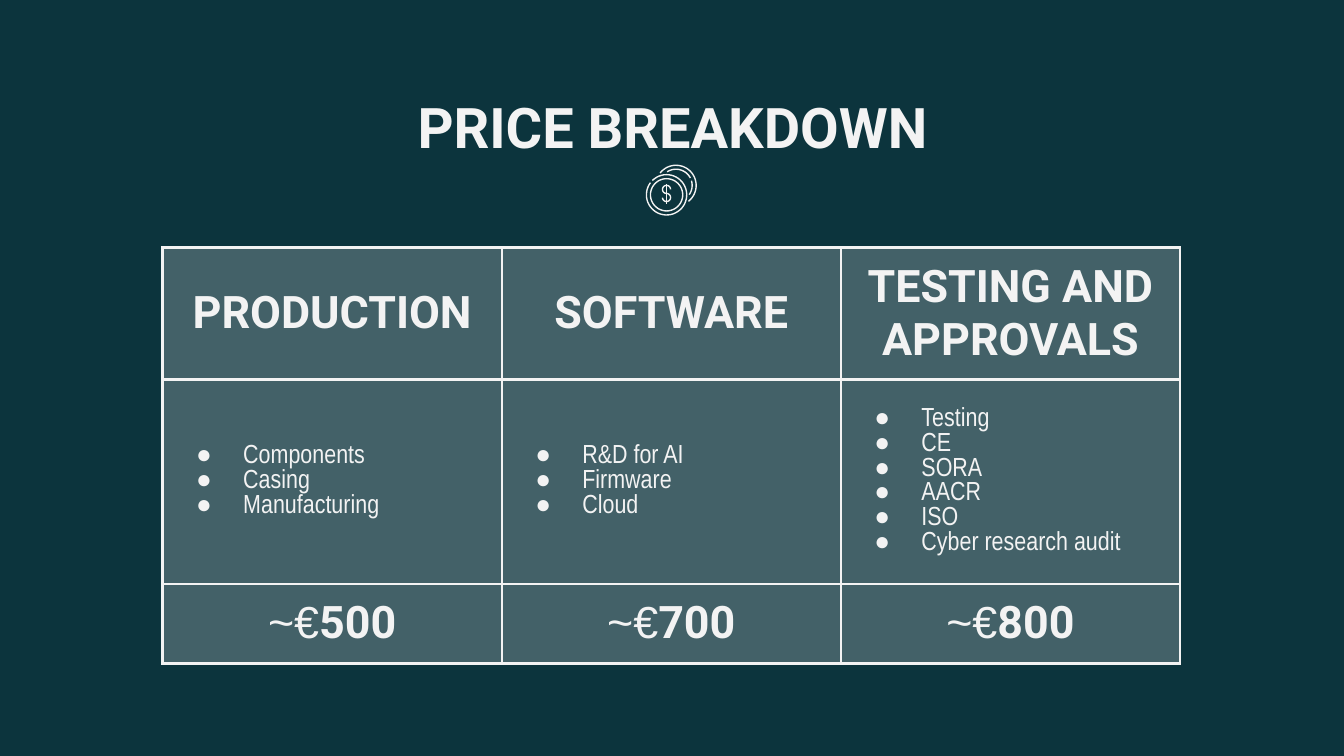
import math

import pptx
import pptx.dml.color
import pptx.enum.text
import pptx.oxml
import pptx.oxml.ns
import pptx.util
from pptx.util import Inches

WHITE = pptx.dml.color.RGBColor(0xF3, 0xF3, 0xF3)
TEAL = pptx.dml.color.RGBColor(0x0C, 0x34, 0x3D)
NS = pptx.oxml.ns.nsdecls("a")
CENTER = pptx.enum.text.PP_ALIGN.CENTER
MIDDLE = pptx.enum.text.MSO_ANCHOR.MIDDLE


def add_run(p, text, size, font, bold):
    r = p.add_run()
    r.text = text
    r.font.size = pptx.util.Pt(size)
    r.font.name = font
    r.font.bold = bold
    r.font.color.rgb = WHITE


prs = pptx.Presentation()
prs.slide_width = Inches(10)
prs.slide_height = Inches(10) * 9 // 16  # widescreen
s = prs.slides.add_slide(prs.slide_layouts[5])
s.background.fill.solid()
s.background.fill.fore_color.rgb = TEAL

# Title
title = s.shapes.title
title.left, title.top = Inches(0.79), Inches(0.59)
title.width, title.height = Inches(8.43), Inches(0.63)
tf = title.text_frame
tf.word_wrap = True
tf.auto_size = pptx.enum.text.MSO_AUTO_SIZE.NONE
tf.vertical_anchor = pptx.enum.text.MSO_ANCHOR.TOP
tf.margin_left = tf.margin_right = Inches(0.1)
tf.margin_top = tf.margin_bottom = Inches(0.1)
tf.paragraphs[0].alignment = CENTER
add_run(tf.paragraphs[0], "PRICE BREAKDOWN", 30, "Roboto", True)

# Price table: heading, items and price of each column
columns = [
    ("PRODUCTION", ["Components", "Casing", "Manufacturing"], "500"),
    ("SOFTWARE", ["R&D for AI", "Firmware", "Cloud"], "700"),
    ("TESTING AND APPROVALS",
     ["Testing", "CE", "SORA", "AACR", "ISO", "Cyber research audit"], "800"),
]
row_heights = [0.95, 1.52, 0.57]
table = s.shapes.add_table(3, 3, Inches(1.21), Inches(1.84),
                           Inches(7.57), Inches(sum(row_heights))).table
table.first_row = table.horz_banding = False
for row, height in zip(table.rows, row_heights):
    row.height = Inches(height)

for col, (heading, items, price) in enumerate(columns):
    table.columns[col].width = Inches(7.57 / 3)

    p = table.cell(0, col).text_frame.paragraphs[0]
    p.alignment = CENTER
    add_run(p, heading, 24, "Roboto", True)

    tf = table.cell(1, col).text_frame
    for i, item in enumerate(items):
        p = tf.add_paragraph() if i else tf.paragraphs[0]
        add_run(p, item, 14, "Arial Narrow", False)
        pPr = p._p.get_or_add_pPr()
        pPr.set("marL", str(Inches(0.5)))
        pPr.set("indent", str(Inches(-0.35)))
        for xml in (f'<a:buClr {NS}><a:srgbClr val="{WHITE}"/></a:buClr>',
                    f'<a:buFont {NS} typeface="Arial Narrow"/>',
                    f'<a:buChar {NS} char="●"/>'):
            pPr.append(pptx.oxml.parse_xml(xml))

    p = table.cell(2, col).text_frame.paragraphs[0]
    p.alignment = CENTER
    add_run(p, "~€", 24, "Arial", False)
    add_run(p, price, 24, "Roboto", True)

for cell in table.iter_cells():
    cell.vertical_anchor = MIDDLE
    cell.margin_left = cell.margin_right = Inches(0.1)
    cell.margin_top = cell.margin_bottom = Inches(0.1)
    cell.fill.solid()
    cell.fill.fore_color.rgb = WHITE
    tcPr = cell._tc.get_or_add_tcPr()
    color = tcPr.find(".//" + pptx.oxml.ns.qn("a:srgbClr"))
    color.append(pptx.oxml.parse_xml(f'<a:alpha {NS} val="24000"/>'))
    for i, side in enumerate("LRTB"):
        tcPr.insert(i, pptx.oxml.parse_xml(
            f'<a:ln{side} {NS} w="{pptx.util.Pt(1.5)}"><a:solidFill>'
            f'<a:srgbClr val="{WHITE}"/></a:solidFill></a:ln{side}>'))

# Coin icon: centre x, centre y, radius, start and end angle of each arc
arcs = [
    (4.96, 1.45, 0.15, 225, 577),    # front coin rim
    (4.96, 1.45, 0.12, 0, 360),      # front coin face
    (5.03, 1.38, 0.15, 218, 412),    # back coin rim
    (5.03, 1.38, 0.12, 237, 333),    # back coin face, top
    (5.03, 1.38, 0.12, 343, 395),    # back coin face, right
    (4.96, 1.41, 0.03, 360, 90),     # dollar sign, upper bowl
    (4.96, 1.47, 0.03, -90, 180),    # dollar sign, lower bowl
]
strokes = []
for x, y, radius, start, end in arcs:
    angles = [math.radians(start + (end - start) * i / 48) for i in range(49)]
    strokes.append([(x + radius * math.cos(a), y + radius * math.sin(a))
                    for a in angles])
strokes.append([(4.96, 1.37), (4.96, 1.52)])  # dollar sign, bar

coins = s.shapes.add_group_shape()
for stroke in strokes:
    points = [(Inches(x), Inches(y)) for x, y in stroke]
    builder = coins.shapes.build_freeform(*points[0])
    builder.add_line_segments(points[1:], close=False)
    sp = builder.convert_to_shape()
    sp.shadow.inherit = False
    sp.fill.background()
    sp.line.color.rgb = WHITE
    sp.line.width = pptx.util.Pt(0.75)

prs.save("out.pptx")
